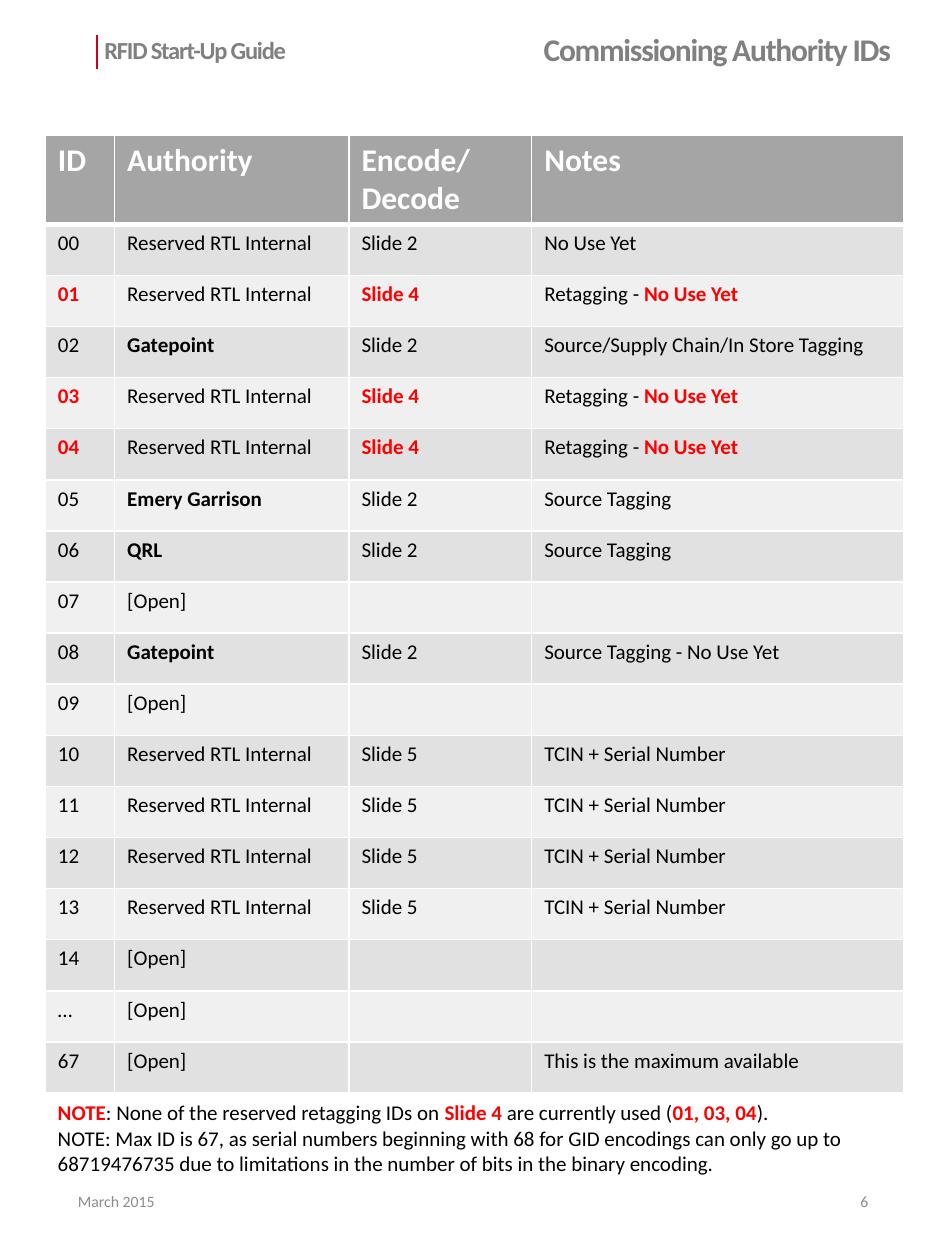
"""Build the commissioning authority ID slide."""
from lxml import etree
from pptx import Presentation
from pptx import util as u
from pptx.dml.color import RGBColor
from pptx.enum import shapes, text
from pptx.oxml import ns

GREY, RED, BLACK, WHITE = "808080", "FF0000", "000000", "FFFFFF"
HEADER_FILL, BAND_FILLS = "A5A5A5", ("E1E1E1", "F0F0F0")
COLUMN_WIDTHS = (0.55, 1.86, 1.45, 2.95)
TABLE_HEIGHT = 7.3
HEADINGS = ("ID", "Authority", "Encode/Decode", "Notes")
COMPANIES = ("Gatepoint", "Emery Garrison", "QRL")
RESERVED = "Reserved RTL Internal"
OPEN = "[Open]"
RETAGGING = (RESERVED, "|Slide 4|", "Retagging - |No Use Yet|")
SERIAL = (RESERVED, "Slide 5", "TCIN + Serial Number")
UNUSED = (OPEN, "", "")
AUTHORITIES = (
    ("00", RESERVED, "Slide 2", "No Use Yet"),
    ("|01|", *RETAGGING),
    ("02", "Gatepoint", "Slide 2", "Source/Supply Chain/In Store Tagging"),
    ("|03|", *RETAGGING),
    ("|04|", *RETAGGING),
    ("05", "Emery Garrison", "Slide 2", "Source Tagging"),
    ("06", "QRL", "Slide 2", "Source Tagging"),
    ("07", *UNUSED),
    ("08", "Gatepoint", "Slide 2", "Source Tagging - No Use Yet"),
    ("09", *UNUSED),
    *((str(number), *SERIAL) for number in range(10, 14)),
    ("14", *UNUSED),
    ("…", *UNUSED),
    ("67", OPEN, "", "This is the maximum available"),
)
NOTES = (
    "|NOTE|: None of the reserved retagging IDs on |Slide 4 |are currently used (|01, 03, 04|).",
    "NOTE: Max ID is 67, as serial numbers beginning with 68 for GID encodings can only go up to "
    "68719476735 due to limitations in the number of bits in the binary encoding.",
)


def rgb(value):
    """Return the colour for a hex string."""
    return RGBColor.from_string(value)


def write_text(paragraph, content, size=12, color=BLACK, bold=False, spacing=None, align="LEFT"):
    """Write text into a paragraph, with parts between bars in bold red."""
    paragraph.alignment = getattr(text.PP_ALIGN, align)
    paragraph.font.size = u.Pt(size)
    for index, part in enumerate(content.split("|")):
        if not part:
            continue
        marked = index % 2 == 1
        run = paragraph.add_run()
        run.text = part
        run.font.name = "Calibri"
        run.font.size = u.Pt(size)
        run.font.bold = bold or marked
        run.font.color.rgb = rgb(RED if marked else color)
        if spacing is not None:
            run.font._element.set("spc", str(round(spacing * 100)))


def prepare_frame(shape, anchor="MIDDLE"):
    """Wrap and anchor the text of a shape and return its frame."""
    frame = shape.text_frame
    frame.word_wrap = True
    frame.auto_size = text.MSO_AUTO_SIZE.NONE
    frame.vertical_anchor = getattr(text.MSO_ANCHOR, anchor)
    return frame


def add_label(slide, box, content, **style):
    """Add a one-line text box."""
    shape = slide.shapes.add_textbox(*map(u.Inches, box))
    write_text(prepare_frame(shape).paragraphs[0], content, **style)
    return shape


def space_heading(shape):
    """Set the line spacing of a heading."""
    paragraph = shape.text_frame.paragraphs[0]
    paragraph.line_spacing = 0.9
    paragraph.space_before = u.Pt(7.5)


def add_title(slide, box, content, **style):
    """Place and fill the title placeholder."""
    title = slide.shapes.title
    title.left, title.top, title.width, title.height = map(u.Inches, box)
    write_text(prepare_frame(title).paragraphs[0], content, **style)
    return title


def add_rule(slide, x, top, bottom):
    """Add the vertical red rule beside the guide name."""
    rule = slide.shapes.add_connector(
        shapes.MSO_CONNECTOR.STRAIGHT, *map(u.Inches, (x, top, x, bottom)))
    rule.line.color.rgb = rgb("CF001C")
    rule.line.width = u.Pt(1.5)
    etree.SubElement(rule._element.spPr, ns.qn("a:effectLst"))


def set_borders(cell, top, bottom):
    """Give a cell white borders of the given top and bottom widths."""
    properties = cell._tc.get_or_add_tcPr()
    widths = {"lnL": 1, "lnR": 1, "lnT": top, "lnB": bottom}
    for index, (side, width) in enumerate(widths.items()):
        line = etree.Element(ns.qn(f"a:{side}"), w=str(u.Pt(width)))
        fill = etree.SubElement(line, ns.qn("a:solidFill"))
        etree.SubElement(fill, ns.qn("a:srgbClr"), val=WHITE)
        properties.insert(index, line)


def add_authority_table(slide, left, top):
    """Add the table of authority IDs with banded rows."""
    rows = (HEADINGS, *AUTHORITIES)
    table = slide.shapes.add_table(
        len(rows), len(HEADINGS),
        *map(u.Inches, (left, top, sum(COLUMN_WIDTHS), TABLE_HEIGHT))).table
    for column, width in zip(table.columns, COLUMN_WIDTHS):
        column.width = u.Inches(width)
    for row_index, row in enumerate(rows):
        table.rows[row_index].height = u.Inches(TABLE_HEIGHT / len(rows))
        header = row_index == 0
        for column_index, content in enumerate(row):
            cell = table.cell(row_index, column_index)
            cell.fill.solid()
            cell.fill.fore_color.rgb = rgb(HEADER_FILL if header else BAND_FILLS[(row_index - 1) % 2])
            set_borders(cell, 3 if row_index == 1 else 1, 3 if header else 1)
            write_text(cell.text_frame.paragraphs[0], content,
                       size=18 if header else 12,
                       color=WHITE if header else BLACK,
                       bold=header or content in COMPANIES)


def add_notes(slide, box):
    """Add the notes below the table."""
    frame = prepare_frame(slide.shapes.add_textbox(*map(u.Inches, box)), "TOP")
    for index, note in enumerate(NOTES):
        paragraph = frame.add_paragraph() if index else frame.paragraphs[0]
        write_text(paragraph, note)


def main():
    """Build and save the slide."""
    presentation = Presentation()
    presentation.slide_width, presentation.slide_height = u.Inches(7.5), u.Inches(10)
    slide = presentation.slides.add_slide(presentation.slide_layouts[5])
    heading = {"color": GREY, "bold": True, "spacing": -0.7}
    space_heading(add_label(slide, (0.73, 0.19, 4.63, 0.44), "RFID Start-Up Guide", size=14, **heading))
    add_rule(slide, 0.77, 0.28, 0.55)
    space_heading(add_title(slide, (2.41, 0.19, 4.76, 0.44), "Commissioning Authority IDs",
                            size=18, align="RIGHT", **heading))
    footer = {"size": 9, "color": "8C8C8C"}
    add_label(slide, (5.3, 9.27, 1.69, 0.53), "6", align="RIGHT", **footer)
    add_label(slide, (0.52, 9.27, 1.69, 0.53), "March 2015", **footer)
    add_authority_table(slide, 0.36, 1.07)
    add_notes(slide, (0.36, 8.68, 6.62, 0.71))
    presentation.save("out.pptx")


main()
